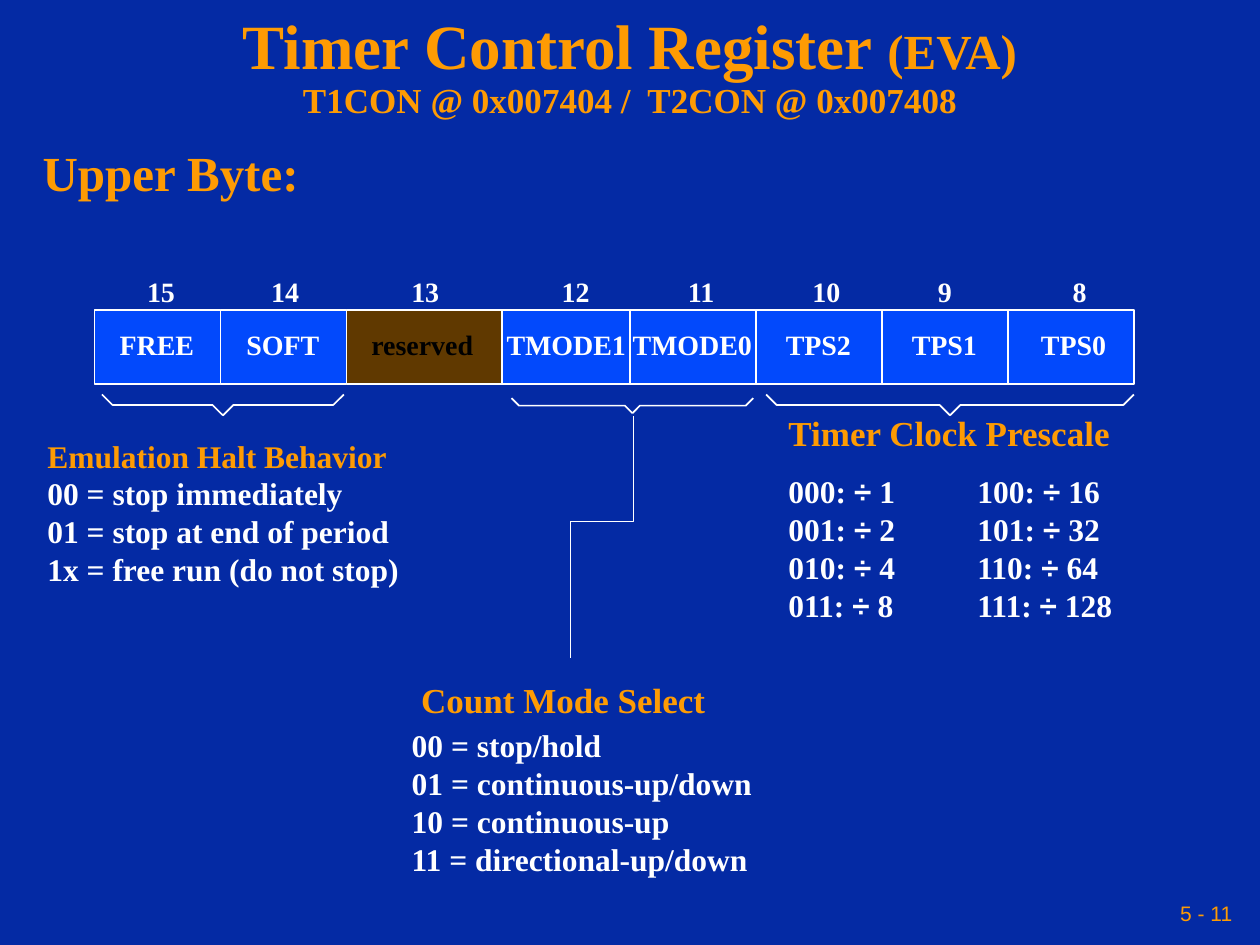
from lxml import etree
from pptx import Presentation
from pptx.dml.color import RGBColor
from pptx.enum import shapes, text
from pptx.oxml.ns import qn
from pptx.util import Pt

SERIF, SANS = "Times New Roman", "Arial"
ORANGE, WHITE, BLACK = "FE9B03", "FFFFFF", "000000"
NAVY, BLUE, BROWN = "042AA4", "0249FC", "603900"
LEFT, CENTER, RIGHT = (text.PP_ALIGN.LEFT, text.PP_ALIGN.CENTER,
                       text.PP_ALIGN.RIGHT)


def color(hex_value):
    return RGBColor.from_string(hex_value)


def add_run(p, words, size, hex_value, font=SERIF, bold=True):
    r = p.add_run()
    r.text = words
    r.font.name, r.font.size, r.font.bold = font, Pt(size), bold
    r.font.color.rgb = color(hex_value)


def add_words(p, words, size, hex_value):
    """Add runs, setting each division sign in the sans font."""
    for i, part in enumerate(words.split("÷")):
        if i:
            add_run(p, "÷", size, hex_value, SANS)
        add_run(p, part, size, hex_value)


def add_tab(p, position):
    tabs = etree.SubElement(p._p.get_or_add_pPr(), qn("a:tabLst"))
    etree.SubElement(tabs, qn("a:tab"), pos=str(Pt(position)), algn="l")


def add_text(parent, box, lines, align=LEFT, tab=None):
    """Place a text box; each line is (words, size, colour)."""
    sp = parent.add_textbox(*map(Pt, box))
    tf = sp.text_frame
    tf.word_wrap = False
    tf.auto_size = text.MSO_AUTO_SIZE.SHAPE_TO_FIT_TEXT
    for i, (words, size, hex_value) in enumerate(lines):
        p = tf.add_paragraph() if i else tf.paragraphs[0]
        p.alignment = align
        if tab:
            add_tab(p, tab)
        add_words(p, words, size, hex_value)
    return tf


def style_line(sp):
    sp.line.color.rgb = color(WHITE)
    sp.line.width = Pt(1)


def add_path(parent, points):
    points = [(Pt(x), Pt(y)) for x, y in points]
    builder = parent.build_freeform(*points[0])
    builder.add_line_segments(points[1:], close=False)
    sp = builder.convert_to_shape()
    sp.fill.background()
    sp.shadow.inherit = False
    style_line(sp)


def add_brace(slide, box):
    """Draw a bracket under a bit field as two mirrored halves."""
    x, y, w, h = box
    group = slide.shapes.add_group_shape()
    middle, step = x + w / 2, h / 2
    for edge, d in ((x, step), (x + w, -step)):
        add_path(group.shapes, [(edge, y), (edge + d, y + step),
                                (middle - d, y + step), (middle, y + h)])


def add_title(slide, box):
    sp = slide.shapes.title
    sp.left, sp.top, sp.width, sp.height = map(Pt, box)
    tf = sp.text_frame
    tf.word_wrap = True
    tf.auto_size = text.MSO_AUTO_SIZE.NONE
    tf.vertical_anchor = text.MSO_ANCHOR.MIDDLE
    p = tf.paragraphs[0]
    p.alignment, p.line_spacing = CENTER, 0.9
    add_run(p, "Timer Control Register ", 36, ORANGE)
    add_run(p, "(EVA)", 28, ORANGE)
    p.add_line_break()
    add_run(p, "T1CON @ 0x007404 /  T2CON @ 0x007408", 20, ORANGE)


def add_register(slide, box):
    x, y, w, h = box
    # name, width, label centre, number centre
    bits = [("FREE", 72, 35.7, 38), ("SOFT", 72, 107.7, 109),
            ("reserved", 89, 187.3, 189), ("TMODE1", 73, 269.6, 275),
            ("TMODE0", 72, 341.6, 346.7), ("TPS2", 72, 413.7, 418.2),
            ("TPS1", 72, 485.7, 486), ("TPS0", 72, 559.5, 563)]
    left = x
    for i, (name, width, label, number) in enumerate(bits):
        reserved = name == "reserved"
        cell = slide.shapes.add_shape(shapes.MSO_SHAPE.RECTANGLE, Pt(left),
                                      Pt(y), Pt(width), Pt(h))
        cell.shadow.inherit = False
        cell.fill.solid()
        cell.fill.fore_color.rgb = color(BROWN if reserved else BLUE)
        style_line(cell)
        left += width
        add_text(slide.shapes, (x + label - 44, y + 6.5, 88, 26),
                 [(name, 16, BLACK if reserved else WHITE)], CENTER)
        add_text(slide.shapes, (x + number - 18, y - 23.5, 36, 26),
                 [(str(15 - i), 16, WHITE)], CENTER)
    # Left edge
    edge = slide.shapes.add_connector(shapes.MSO_CONNECTOR.STRAIGHT, Pt(x),
                                      Pt(y), Pt(x), Pt(y + h))
    style_line(edge)
    etree.SubElement(edge._element.spPr, qn("a:effectLst"))


def add_emulation(slide, box):
    add_text(slide.shapes, box, [
        ("Emulation Halt Behavior", 18, ORANGE),
        ("00 = stop immediately", 18, WHITE),
        ("01 = stop at end of period", 18, WHITE),
        ("1x = free run (do not stop)", 18, WHITE)])


def add_prescale(slide, box):
    rows = ["000: ÷ 1\t100: ÷ 16", "001: ÷ 2 \t101: ÷ 32",
            "010: ÷ 4\t110: ÷ 64", "011: ÷ 8\t111: ÷ 128"]
    lines = [("Timer Clock Prescale", 20, ORANGE)]
    lines += [(row, 18, WHITE) for row in rows]
    tf = add_text(slide.shapes, box, lines, tab=108)
    tf.paragraphs[1].line_spacing = 1.5


def add_count_mode(slide, box):
    x, y, w, h = box
    group = slide.shapes.add_group_shape()
    add_text(group.shapes, (x, y, 182, 31.5),
             [("Count Mode Select", 20, ORANGE)], RIGHT)
    modes = ["00 = stop/hold", "01 = continuous-up/down",
             "10 = continuous-up", "11 = directional-up/down"]
    add_text(group.shapes, (x, y + 27.5, w, h - 27.5),
             [(mode, 18, WHITE) for mode in modes])


def add_page_number(slide, box):
    sp = slide.shapes.add_textbox(*map(Pt, box))
    tf = sp.text_frame
    tf.word_wrap = False
    tf.vertical_anchor = text.MSO_ANCHOR.MIDDLE
    tf.margin_left = tf.margin_right = Pt(3.6)
    tf.paragraphs[0].alignment = RIGHT
    add_run(tf.paragraphs[0], "5 - 11", 12, ORANGE, SANS, bold=False)


def main():
    prs = Presentation()
    prs.slide_width, prs.slide_height = Pt(720), Pt(540)
    slide = prs.slides.add_slide(prs.slide_layouts[5])
    slide.background.fill.solid()
    slide.background.fill.fore_color.rgb = color(NAVY)

    add_title(slide, (0, 18, 720, 42))
    add_text(slide.shapes, (17.3, 78, 164, 40),
             [("Upper Byte:", 28, ORANGE)])
    add_register(slide, (54, 177, 594, 42.7))

    # Brackets and the line to the count modes
    for box in ((58.3, 225.4, 138.2, 12), (292.3, 227.5, 138.2, 8.6),
                (437.8, 225.4, 210.2, 12)):
        add_brace(slide, box)
    add_path(slide.shapes,
             [(362, 238), (362, 298), (326, 298), (326, 376)])

    # Field descriptions
    add_emulation(slide, (20, 246, 218, 93.6))
    add_prescale(slide, (443.5, 231.6, 208, 128))
    add_count_mode(slide, (228.2, 384, 212, 121))
    add_page_number(slide, (491.8, 510, 216, 23.8))
    prs.save("out.pptx")


if __name__ == "__main__":
    main()
